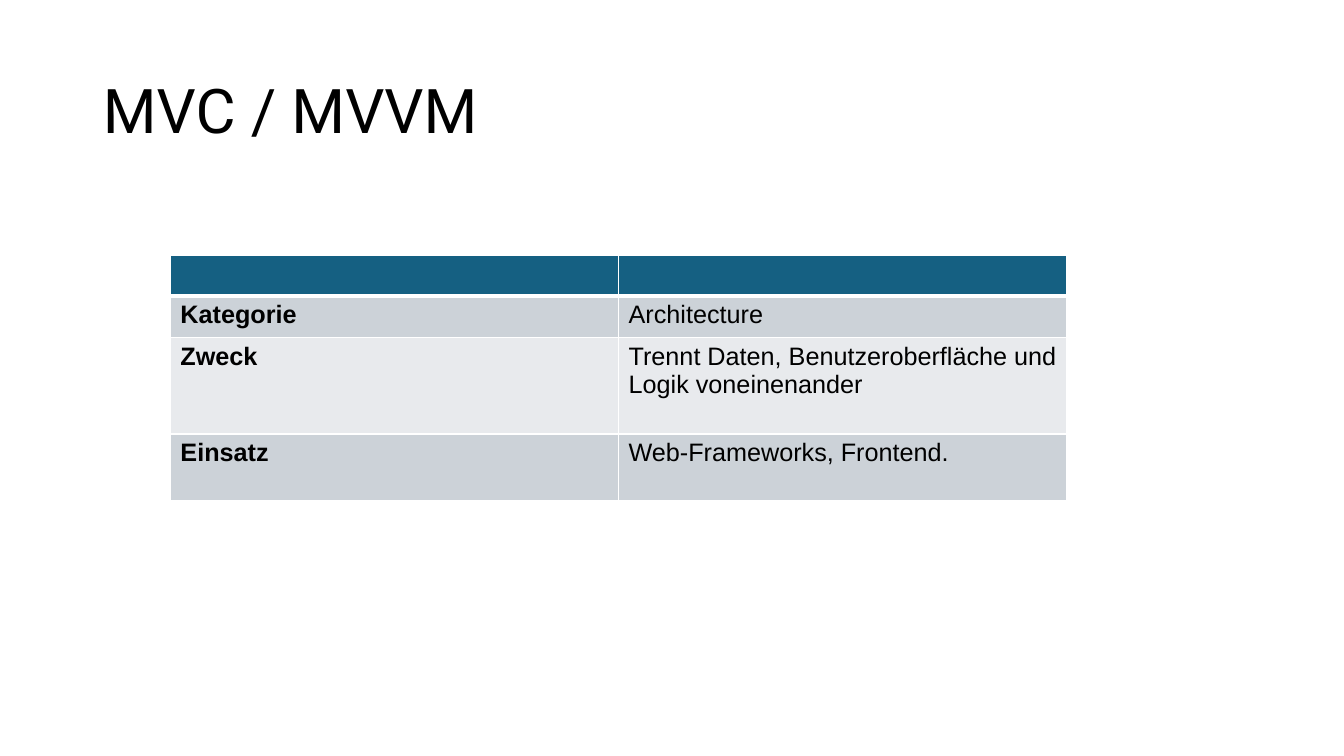
import lxml.etree
import pptx
import pptx.dml.color
import pptx.enum.text
import pptx.oxml.ns
import pptx.util

Inches = pptx.util.Inches
RGBColor = pptx.dml.color.RGBColor

BLACK = RGBColor(0x00, 0x00, 0x00)
WHITE = RGBColor(0xFF, 0xFF, 0xFF)
HEADER_BLUE = RGBColor(0x15, 0x60, 0x82)
BAND_DARK = RGBColor(0xCC, 0xD2, 0xD8)
BAND_LIGHT = RGBColor(0xE8, 0xEA, 0xED)

TITLE_BOX = (0.92, 0.4, 11.5, 1.45)
TABLE_BOX = (1.69, 2.53, 8.89, 2.43)
ROW_HEIGHTS = (0.4, 0.41, 0.96, 0.66)
TABLE_ROWS = (
    ("", ""),
    ("Kategorie", "Architecture"),
    ("Zweck", "Trennt Daten, Benutzeroberfläche und Logik voneinenander"),
    ("Einsatz", "Web-Frameworks, Frontend."),
)


def format_font(font, color, values):
    for name, value in values.items():
        setattr(font, name, value)
    font.color.rgb = color


def add_borders(cell, widths):
    """Draw white cell borders; widths maps each side to points."""
    properties = cell._tc.get_or_add_tcPr()
    for index, (side, width) in enumerate(widths.items()):
        line = lxml.etree.Element(
            pptx.oxml.ns.qn("a:ln" + side), w=str(pptx.util.Pt(width)))
        fill = lxml.etree.SubElement(line, pptx.oxml.ns.qn("a:solidFill"))
        lxml.etree.SubElement(
            fill, pptx.oxml.ns.qn("a:srgbClr"), val=str(WHITE))
        properties.insert(index, line)


def place_title(page, box, text):
    title = page.shapes.title
    for name, value in zip(("left", "top", "width", "height"), box):
        setattr(title, name, Inches(value))
    frame = title.text_frame
    frame.text = text
    frame.word_wrap = True
    frame.vertical_anchor = pptx.enum.text.MSO_ANCHOR.MIDDLE
    para = frame.paragraphs[0]
    para.alignment = pptx.enum.text.PP_ALIGN.LEFT
    para.line_spacing = 0.9
    format_font(para.runs[0].font, BLACK,
                {"name": "Roboto", "size": pptx.util.Pt(44)})


def place_table(page, box, rows):
    left, top, width, height = map(Inches, box)
    table = page.shapes.add_table(
        len(rows), len(rows[0]), left, top, width, height).table
    for row, row_height in zip(table.rows, ROW_HEIGHTS):
        row.height = Inches(row_height)

    for row_index, texts in enumerate(rows):
        is_header = row_index == 0
        band = BAND_DARK if row_index % 2 else BAND_LIGHT
        for column_index, text in enumerate(texts):
            cell = table.cell(row_index, column_index)
            cell.fill.solid()
            cell.fill.fore_color.rgb = HEADER_BLUE if is_header else band
            # The line under the header is heavier
            add_borders(cell, {"L": 1, "R": 1,
                               "T": 3 if row_index == 1 else 1,
                               "B": 3 if is_header else 1})
            if text:
                span = cell.text_frame.paragraphs[0].add_run()
                span.text = text
                format_font(span.font, BLACK,
                            {"name": "Arial", "size": pptx.util.Pt(18),
                             "bold": column_index == 0})


def main():
    deck = pptx.Presentation()
    deck.slide_width = Inches(13.33)
    deck.slide_height = Inches(7.5)
    page = deck.slides.add_slide(deck.slide_layouts.get_by_name("Title Only"))
    page.background.fill.solid()
    page.background.fill.fore_color.rgb = WHITE

    # Title
    place_title(page, TITLE_BOX, "MVC / MVVM")
    # Pattern overview
    place_table(page, TABLE_BOX, TABLE_ROWS)
    deck.save("out.pptx")


if __name__ == "__main__":
    main()
